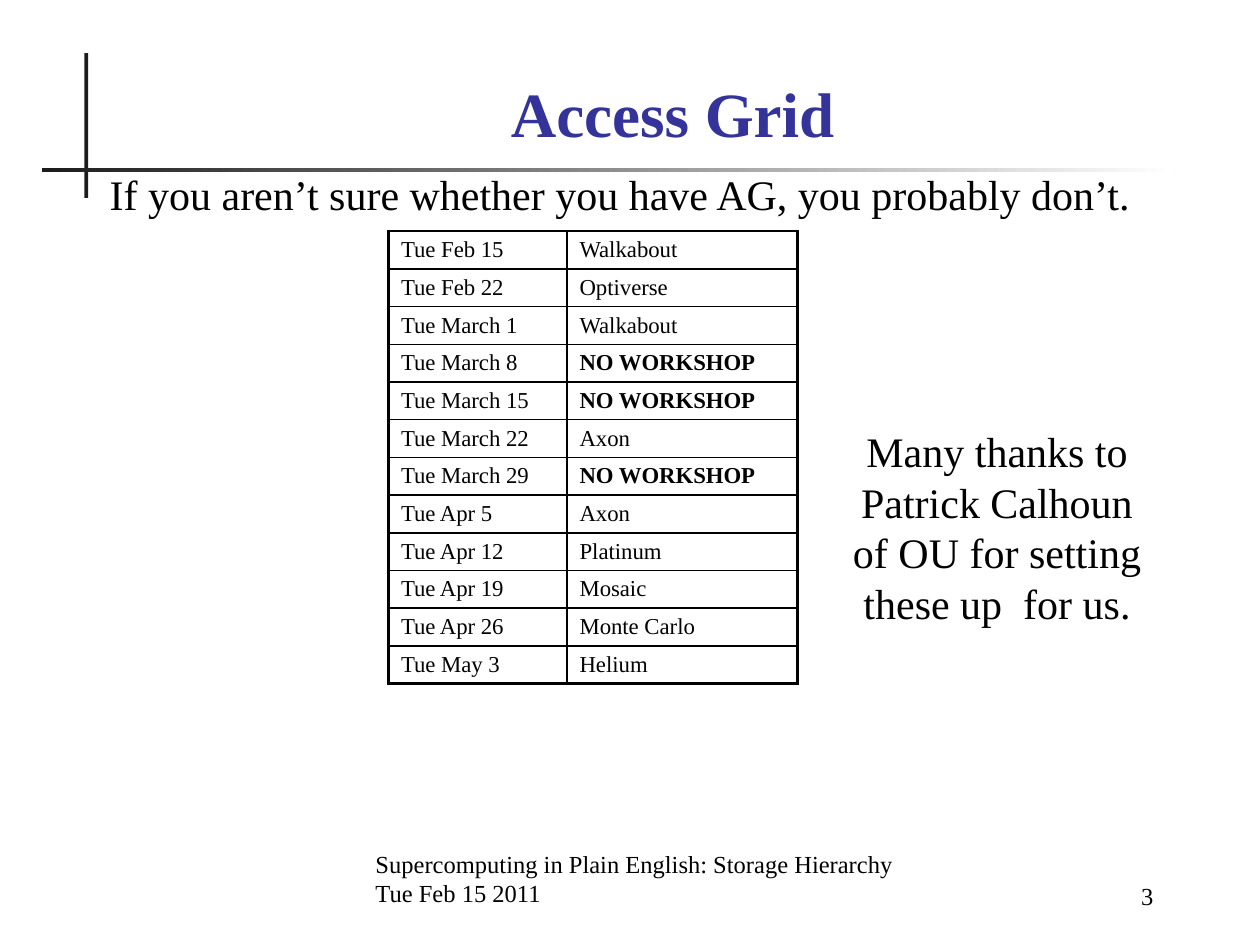
from lxml import etree
from pptx import Presentation
from pptx.dml.color import RGBColor
from pptx.enum import shapes, text
from pptx.oxml import ns
from pptx.util import Cm, Pt

BLACK = RGBColor(0x00, 0x00, 0x00)
CHARCOAL = RGBColor(0x1C, 0x1C, 0x1C)
WHITE = RGBColor(0xFF, 0xFF, 0xFF)
NAVY = RGBColor(0x33, 0x33, 0x99)
FONT = "Times New Roman"
LEFT, CENTER, RIGHT = text.PP_ALIGN.LEFT, text.PP_ALIGN.CENTER, text.PP_ALIGN.RIGHT
TOP, BOTTOM = text.MSO_ANCHOR.TOP, text.MSO_ANCHOR.BOTTOM

NO_WORKSHOP = "NO WORKSHOP"
SCHEDULE = [
    ("Tue Feb 15", "Walkabout"),
    ("Tue Feb 22", "Optiverse"),
    ("Tue March 1", "Walkabout"),
    ("Tue March 8", NO_WORKSHOP),
    ("Tue March 15", NO_WORKSHOP),
    ("Tue March 22", "Axon"),
    ("Tue March 29", NO_WORKSHOP),
    ("Tue Apr 5", "Axon"),
    ("Tue Apr 12", "Platinum"),
    ("Tue Apr 19", "Mosaic"),
    ("Tue Apr 26", "Monte Carlo"),
    ("Tue May 3", "Helium"),
]
TEXTS = [
    (["Access Grid"], (2.74, 1.27, 21.64, 1.88), 36, NAVY, True, CENTER, BOTTOM, 1),
    (["If you aren’t sure whether you have AG, you probably don’t."],
     (1.7, 3.38, 21.59, 1.2), 24, BLACK, False, CENTER, TOP, 0.9),
    (["Many thanks to Patrick Calhoun of OU for setting these up  for us."],
     (16.71, 8.46, 6.78, 4.37), 24, BLACK, False, CENTER, TOP, None),
    (["Supercomputing in Plain English: Storage Hierarchy", "Tue Feb 15 2011"],
     (7.32, 17.15, 11.1, 1.27), 14, BLACK, False, LEFT, BOTTOM, None),
    (["3"], (19.89, 17.2, 3.61, 1.27), 14, BLACK, False, RIGHT, BOTTOM, None),
]
RULES = [((1.7, 1.07, 0.08, 2.92), False), ((0.84, 3.39, 22.86, 0.08), True)]
TABLE_LEFT, TABLE_TOP = 7.83, 4.66
COLUMN_WIDTHS = [3.6, 4.65]
ROW_HEIGHT = 0.76
THIN, THICK = 1, 2.25


def style(para, size, color, bold):
    para.font.name = FONT
    para.font.size = Pt(size)
    para.font.color.rgb = color
    para.font.bold = bold


def add_rule(page, place, fading):
    rule = page.shapes.add_shape(shapes.MSO_SHAPE.RECTANGLE, *map(Cm, place))
    rule.shadow.inherit = False
    rule.line.fill.background()
    if fading:
        rule.fill.gradient()
        rule.fill.gradient_angle = 0
        for stop, color in zip(rule.fill.gradient_stops, (CHARCOAL, WHITE)):
            stop.color.rgb = color
    else:
        rule.fill.solid()
        rule.fill.fore_color.rgb = CHARCOAL


def add_text(page, lines, place, size, color, bold, align, anchor, spacing):
    frame = page.shapes.add_textbox(*map(Cm, place)).text_frame
    frame.word_wrap = True
    frame.vertical_anchor = anchor
    frame.text = "\n".join(lines)
    for para in frame.paragraphs:
        para.alignment = align
        para.line_spacing = spacing
        style(para, size, color, bold)


def set_borders(cell, widths):
    props = cell._tc.get_or_add_tcPr()
    for index, (side, width) in enumerate(widths.items()):
        line = etree.Element(ns.qn(f"a:ln{side}"), w=str(Pt(width)))
        fill = etree.SubElement(line, ns.qn("a:solidFill"))
        etree.SubElement(fill, ns.qn("a:srgbClr"), val=str(BLACK))
        props.insert(index, line)


def add_schedule(page):
    last_row, last_column = len(SCHEDULE) - 1, len(COLUMN_WIDTHS) - 1
    table = page.shapes.add_table(
        len(SCHEDULE), len(COLUMN_WIDTHS), Cm(TABLE_LEFT), Cm(TABLE_TOP),
        Cm(sum(COLUMN_WIDTHS)), Cm(ROW_HEIGHT * len(SCHEDULE))).table
    table.first_row = table.horz_banding = False
    for column, width in zip(table.columns, COLUMN_WIDTHS):
        column.width = Cm(width)
    for r, entry in enumerate(SCHEDULE):
        table.rows[r].height = Cm(ROW_HEIGHT)
        for c, words in enumerate(entry):
            cell = table.cell(r, c)
            cell.text = words
            cell.fill.background()
            cell.margin_top = cell.margin_bottom = Cm(0.1)
            cell.vertical_anchor = text.MSO_ANCHOR.MIDDLE
            style(cell.text_frame.paragraphs[0], 13, BLACK, words == NO_WORKSHOP)
            set_borders(cell, {
                "L": THICK if c == 0 else THIN,
                "R": THICK if c == last_column else THIN,
                "T": THIN,
                "B": THICK if r == last_row else THIN,
            })


def main():
    deck = Presentation()
    deck.slide_width, deck.slide_height = Cm(25.4), Cm(19.05)
    page = deck.slides.add_slide(deck.slide_layouts[6])
    for rule in RULES:
        add_rule(page, *rule)
    for item in TEXTS:
        add_text(page, *item)
    add_schedule(page)
    deck.save("out.pptx")


if __name__ == "__main__":
    main()
